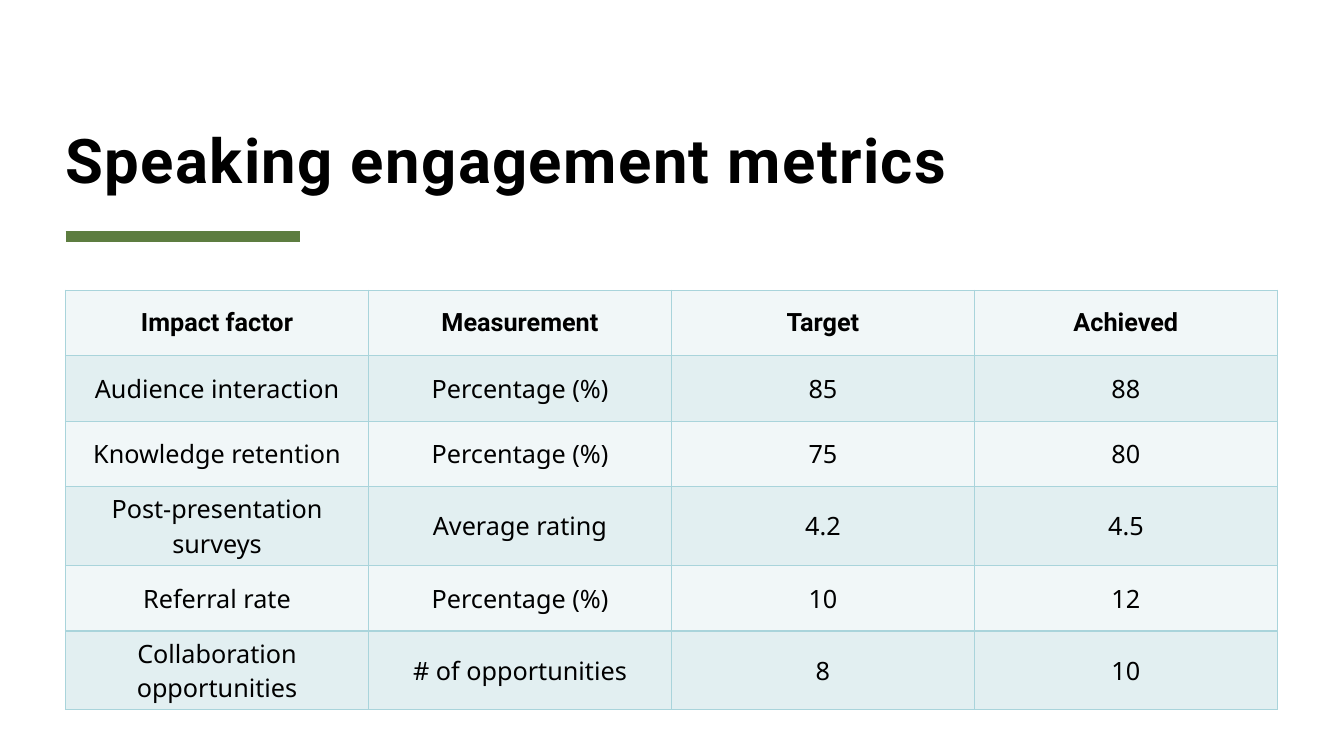
import pptx
import pptx.dml.color
import pptx.enum.text
import pptx.oxml
import pptx.oxml.ns
import pptx.util
from dataclasses import dataclass

TITLE = "Speaking engagement metrics"
ROWS = [
    ("Impact factor", "Measurement", "Target", "Achieved"),
    ("Audience interaction", "Percentage (%)", "85", "88"),
    ("Knowledge retention", "Percentage (%)", "75", "80"),
    ("Post-presentation surveys", "Average rating", "4.2", "4.5"),
    ("Referral rate", "Percentage (%)", "10", "12"),
    ("Collaboration opportunities", "# of opportunities", "8", "10"),
]


@dataclass(frozen=True)
class Theme:
    ink: str = "000000"
    accent: str = "5D7D40"
    border: str = "A9D4DB"
    bands: tuple = ("F1F7F8", "E2EFF1")
    head: str = "Roboto"
    body: str = "Noto Sans"
    title_size: int = 44
    cell_size: int = 18


THEME = Theme()
Inches = pptx.util.Inches
LEFT = Inches(0.65)
ROW_HEIGHT = Inches(0.65)
COL_WIDTH = Inches(3.005)


def color(code):
    return pptx.dml.color.RGBColor.from_string(code)


def style(para, font, size, bold):
    para.font.name = font
    para.font.size = pptx.util.Pt(size)
    para.font.bold = bold
    para.font.color.rgb = color(THEME.ink)


def add_title(slide):
    title = slide.shapes.title
    title.left, title.top = LEFT, Inches(0.64)
    title.width, title.height = Inches(12), Inches(1.3)
    frame = title.text_frame
    frame.text = TITLE
    frame.word_wrap = True
    frame.auto_size = pptx.enum.text.MSO_AUTO_SIZE.NONE
    frame.vertical_anchor = pptx.enum.text.MSO_ANCHOR.BOTTOM
    frame.margin_left = frame.margin_right = 0
    frame.margin_top = frame.margin_bottom = 0
    para = frame.paragraphs[0]
    para.alignment = pptx.enum.text.PP_ALIGN.LEFT
    para.line_spacing = 0.8
    style(para, THEME.head, THEME.title_size, True)
    para.runs[0]._r.get_or_add_rPr().set("spc", "100")


def add_rule(slide):
    rule = slide.shapes.add_connector(
        pptx.enum.shapes.MSO_CONNECTOR.STRAIGHT,
        LEFT, Inches(2.35), Inches(2.98), Inches(2.35))
    rule.line.color.rgb = color(THEME.accent)
    rule.line.width = pptx.util.Pt(8)
    effects = pptx.oxml.parse_xml(
        f"<a:effectLst {pptx.oxml.ns.nsdecls('a')}/>")
    rule._element.spPr.append(effects)


def add_border(cell):
    """Draw a thin line on all four sides; call before the fill is set."""
    props = cell._tc.get_or_add_tcPr()
    for side in ("lnL", "lnR", "lnT", "lnB"):
        props.append(pptx.oxml.parse_xml(
            f'<a:{side} {pptx.oxml.ns.nsdecls("a")} w="{pptx.util.Pt(1)}">'
            f'<a:solidFill><a:srgbClr val="{THEME.border}"/></a:solidFill>'
            f'</a:{side}>'))


def fill_cell(cell, text, row):
    add_border(cell)
    cell.fill.solid()
    cell.fill.fore_color.rgb = color(THEME.bands[row % 2])
    cell.vertical_anchor = pptx.enum.text.MSO_ANCHOR.MIDDLE
    cell.text = text
    para = cell.text_frame.paragraphs[0]
    para.alignment = pptx.enum.text.PP_ALIGN.CENTER
    header = row == 0
    style(para, THEME.head if header else THEME.body, THEME.cell_size, header)


def add_metrics(slide):
    count = len(ROWS[0])
    table = slide.shapes.add_table(
        len(ROWS), count, LEFT, Inches(2.88),
        COL_WIDTH * count, ROW_HEIGHT * len(ROWS)).table
    for column in table.columns:
        column.width = COL_WIDTH
    for r, texts in enumerate(ROWS):
        table.rows[r].height = ROW_HEIGHT
        for c, text in enumerate(texts):
            fill_cell(table.cell(r, c), text, r)


def main():
    deck = pptx.Presentation()
    deck.slide_width, deck.slide_height = Inches(13.33), Inches(7.5)
    slide = deck.slides.add_slide(deck.slide_layouts[5])
    add_rule(slide)
    add_title(slide)
    add_metrics(slide)
    deck.save("out.pptx")


if __name__ == "__main__":
    main()
